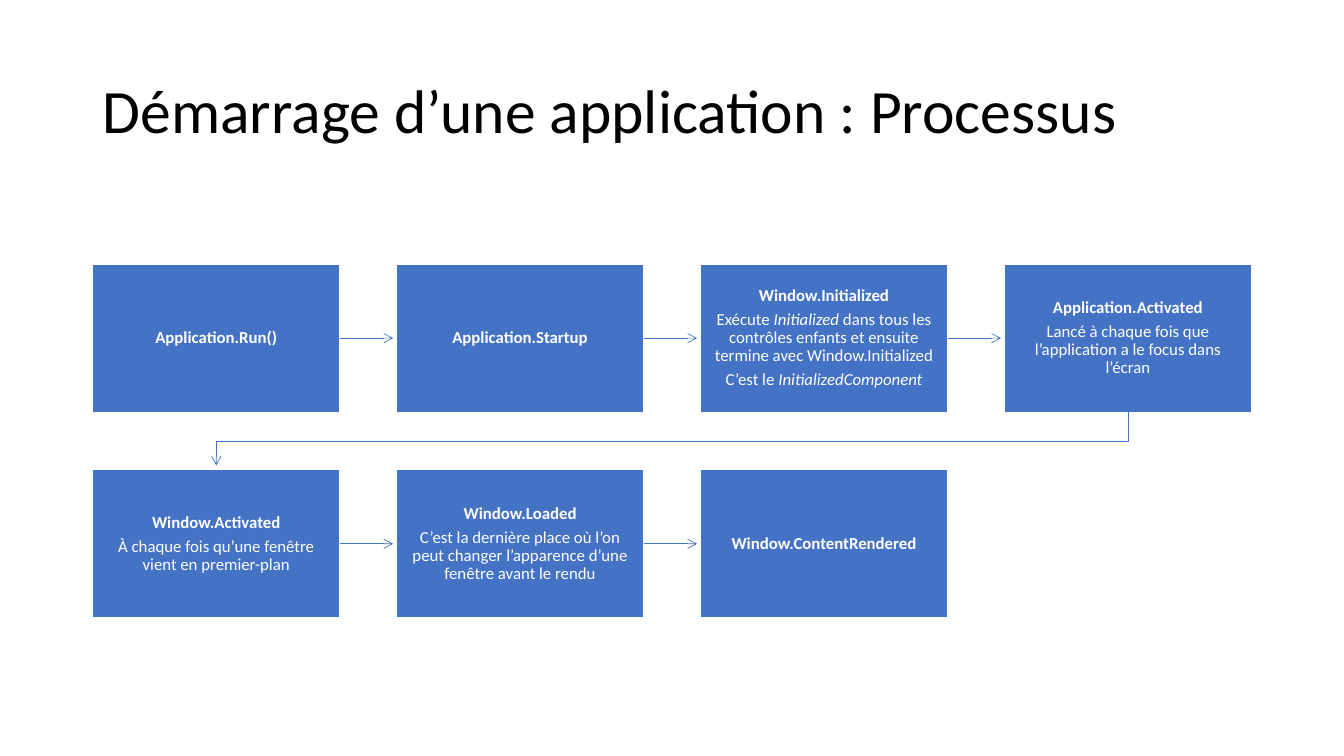
from dataclasses import dataclass

from lxml import etree
from pptx import Presentation
from pptx.dml.color import RGBColor
from pptx.enum.shapes import MSO_CONNECTOR, MSO_SHAPE
from pptx.enum.text import MSO_ANCHOR, PP_ALIGN
from pptx.oxml.ns import qn
from pptx.util import Inches, Pt

RECTANGLE = MSO_SHAPE.RECTANGLE
STRAIGHT = MSO_CONNECTOR.STRAIGHT
MIDDLE = MSO_ANCHOR.MIDDLE
CENTER = PP_ALIGN.CENTER
RIGHT_SIDE = 3


@dataclass(frozen=True)
class Theme:
    font: str = "Calibri"
    blue: RGBColor = RGBColor(0x44, 0x72, 0xC4)
    white: RGBColor = RGBColor(0xFF, 0xFF, 0xFF)
    black: RGBColor = RGBColor(0x00, 0x00, 0x00)
    title_size: Pt = Pt(44)
    step_size: Pt = Pt(12)
    step_space: Pt = Pt(4.2)
    step_border: Pt = Pt(1)
    arrow_width: Pt = Pt(0.5)
    line_spacing: float = 0.9


THEME = Theme()

COLUMNS = 4
LEFT, TOP = Inches(0.92), Inches(2.62)
STEP_WIDTH, STEP_HEIGHT = Inches(2.45), Inches(1.47)
COLUMN_PITCH, ROW_PITCH = Inches(3.014), Inches(2.04)
STEP_INSET = Inches(0.09)
ARROW_LENGTH = Inches(0.53)

# Heading, then description paragraphs; asterisks enclose italics.
STEPS = [
    ["Application.Run()"],
    ["Application.Startup"],
    ["Window.Initialized",
     "Exécute *Initialized* dans tous les contrôles enfants et ensuite "
     "termine avec Window.Initialized",
     "C’est le *InitializedComponent*"],
    ["Application.Activated",
     "Lancé à chaque fois que l’application a le focus dans l’écran"],
    ["Window.Activated",
     "À chaque fois qu’une fenêtre vient en premier-plan"],
    ["Window.Loaded",
     "C’est la dernière place où l’on peut changer l’apparence d’une "
     "fenêtre avant le rendu"],
    ["Window.ContentRendered"],
]


def style_paragraph(paragraph, size, color, bold=False):
    paragraph.line_spacing = THEME.line_spacing
    font = paragraph.font
    font.name = THEME.font
    font.size = size
    font.bold = bold
    font.color.rgb = color


def add_title(slide, text):
    box = slide.shapes.add_textbox(LEFT, Inches(0.4), Inches(11.5), Inches(1.45))
    frame = box.text_frame
    frame.word_wrap = True
    frame.vertical_anchor = MIDDLE
    paragraph = frame.paragraphs[0]
    paragraph.text = text
    style_paragraph(paragraph, THEME.title_size, THEME.black)


def add_italic_runs(paragraph, text):
    """Fill the paragraph, setting the parts between asterisks in italics."""
    for index, part in enumerate(text.split("*")):
        if part:
            run = paragraph.add_run()
            run.text = part
            if index % 2:
                run.font.italic = True


def add_step(slide, index, texts):
    row, column = divmod(index, COLUMNS)
    shape = slide.shapes.add_shape(
        RECTANGLE, LEFT + column * COLUMN_PITCH, TOP + row * ROW_PITCH,
        STEP_WIDTH, STEP_HEIGHT)
    shape.shadow.inherit = False
    shape.fill.solid()
    shape.fill.fore_color.rgb = THEME.blue
    shape.line.color.rgb = THEME.white
    shape.line.width = THEME.step_border

    frame = shape.text_frame
    frame.word_wrap = True
    frame.vertical_anchor = MIDDLE
    frame.margin_left = frame.margin_right = STEP_INSET
    frame.margin_top = frame.margin_bottom = STEP_INSET
    for number, text in enumerate(texts):
        paragraph = frame.add_paragraph() if number else frame.paragraphs[0]
        add_italic_runs(paragraph, text)
        paragraph.alignment = CENTER
        paragraph.space_after = THEME.step_space
        style_paragraph(paragraph, THEME.step_size, THEME.white, bold=number == 0)
    return shape


def style_arrow(shape):
    shape.line.color.rgb = THEME.blue
    shape.line.width = THEME.arrow_width
    line = shape.line._get_or_add_ln()
    etree.SubElement(line, qn("a:tailEnd"), type="arrow")


def add_straight_arrow(slide, step):
    """Point from the right side of a step towards the next column."""
    start = step.left + step.width
    middle = step.top + step.height // 2
    arrow = slide.shapes.add_connector(
        STRAIGHT, start, middle, start + ARROW_LENGTH, middle)
    arrow.begin_connect(step, RIGHT_SIDE)
    style_arrow(arrow)
    etree.SubElement(arrow._element.spPr, qn("a:effectLst"))


def add_return_arrow(slide, step):
    """Lead from the last step of a row down to the first of the next."""
    start_x = step.left + step.width // 2
    start_y = step.top + step.height
    end_x = LEFT + STEP_WIDTH // 2
    bend_y = start_y + Inches(0.29)
    builder = slide.shapes.build_freeform(start_x, start_y)
    builder.add_line_segments(
        [(start_x, bend_y), (end_x, bend_y), (end_x, start_y + ARROW_LENGTH)],
        close=False)
    arrow = builder.convert_to_shape()
    arrow.shadow.inherit = False
    arrow.fill.background()
    style_arrow(arrow)


def main():
    presentation = Presentation()
    presentation.slide_width = Inches(13.33)
    presentation.slide_height = Inches(7.5)
    slide = presentation.slides.add_slide(presentation.slide_layouts[6])

    add_title(slide, "Démarrage d’une application : Processus")
    steps = [add_step(slide, index, texts) for index, texts in enumerate(STEPS)]
    for index, step in enumerate(steps[:-1], start=1):
        if index % COLUMNS:
            add_straight_arrow(slide, step)
        else:
            add_return_arrow(slide, step)

    presentation.save("out.pptx")


if __name__ == "__main__":
    main()
